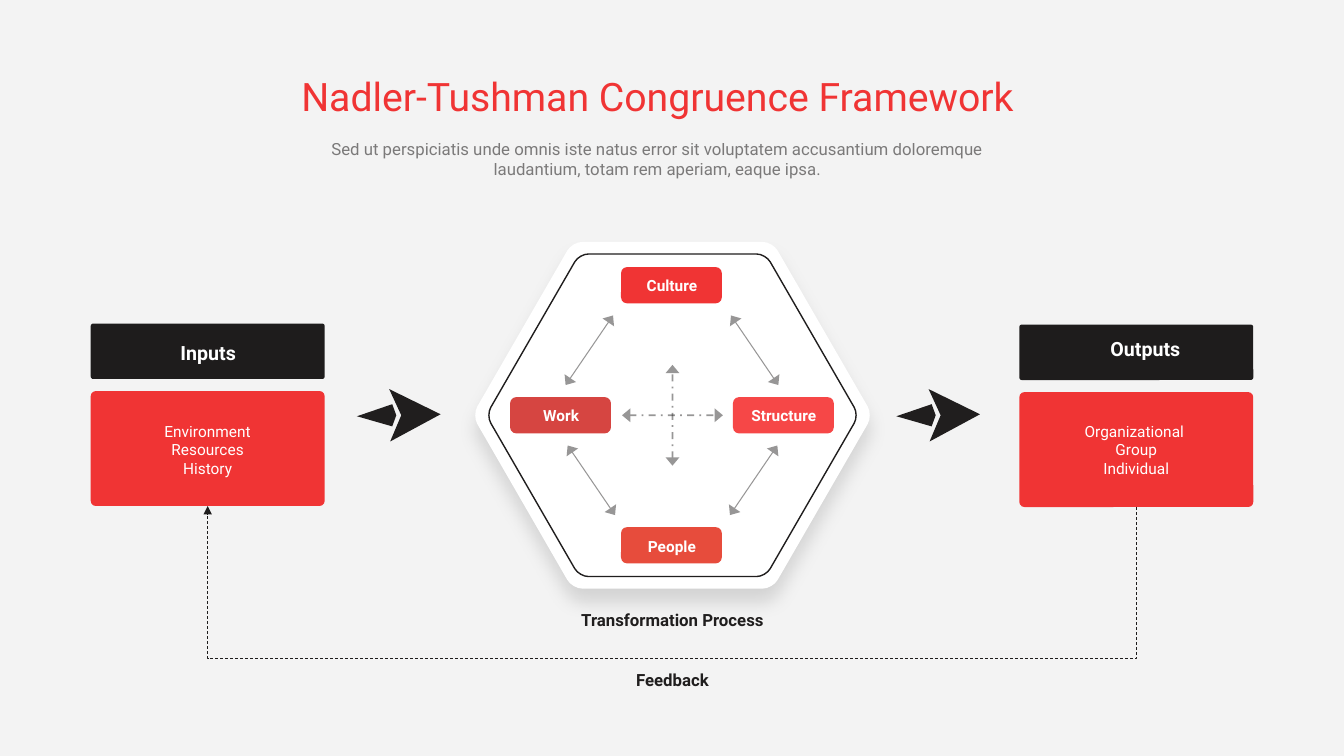
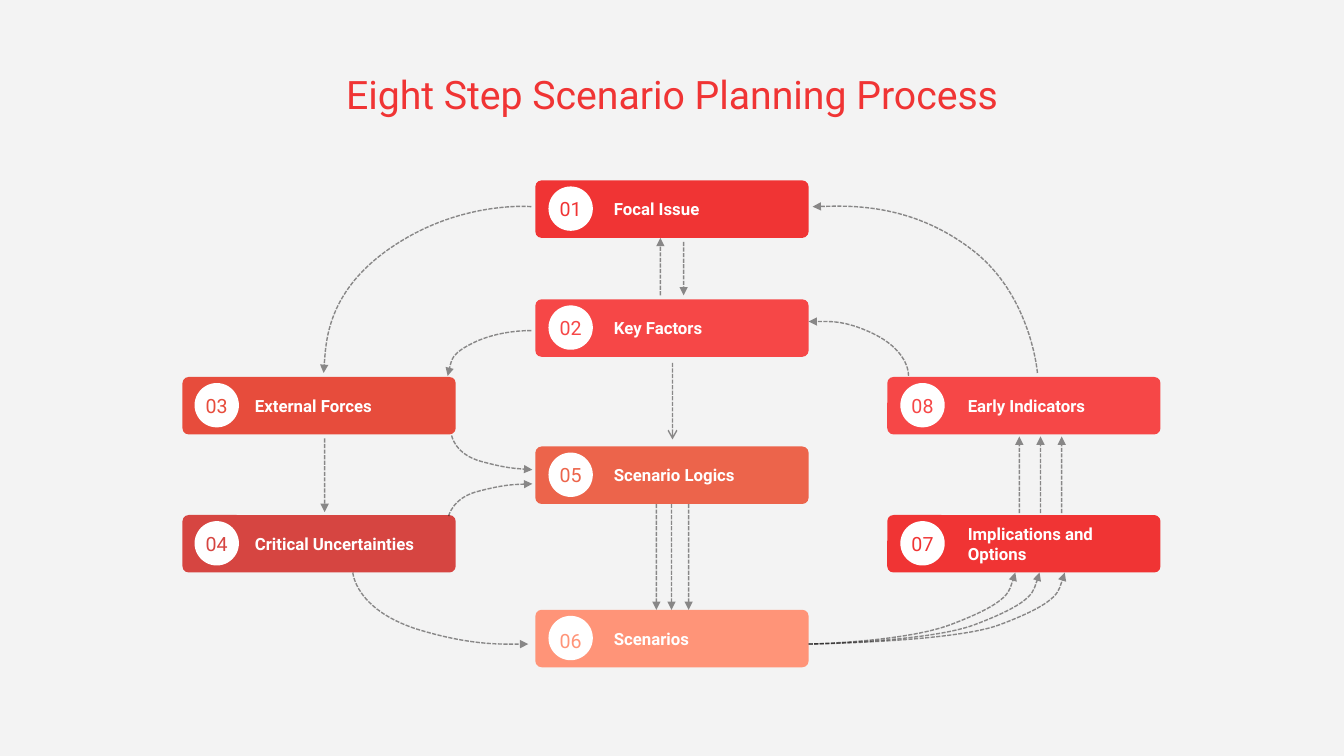
from dataclasses import dataclass
from math import cos, pi, sin

from lxml import etree
from pptx import Presentation
from pptx import util as u
from pptx.dml.color import RGBColor
from pptx.enum import dml, shapes, text
from pptx.oxml.ns import qn

FONT = "Roboto"
BACKDROP, WHITE = "F3F3F3", "FFFFFF"
INK, BLACK = "201E1E", "1E1C1C"
RED, CORAL, BRICK, CRIMSON = "F03434", "F64747", "E74C3C", "D64541"
ORANGE, PEACH = "EC644B", "FF9478"

Point = tuple[float, float]
Segment = tuple[Point, ...]  # one point for a line, three for a curve
Box = tuple[float, float, float, float]  # left, top, width, height
ROUNDED, OVAL = shapes.MSO_SHAPE.ROUNDED_RECTANGLE, shapes.MSO_SHAPE.OVAL
MIDDLE, TOP, BOTTOM = (text.MSO_ANCHOR.MIDDLE, text.MSO_ANCHOR.TOP,
                       text.MSO_ANCHOR.BOTTOM)
CENTER, LEFT = text.PP_ALIGN.CENTER, text.PP_ALIGN.LEFT


@dataclass(frozen=True)
class Stroke:
    color: str
    width: float
    dash: dml.MSO_LINE | None = None
    opacity: int = 100
    head: str = ""
    tail: str = ""
    arrow_width: str = "med"


@dataclass(frozen=True)
class Panel:
    heading: str
    lines: tuple[str, ...]
    left: float
    top: float
    heading_box: Box


@dataclass(frozen=True)
class Column:
    left: float
    circle_offset: float
    label_offset: float


@dataclass(frozen=True)
class Step:
    label: str
    column: Column
    top: float
    color: str
    label_width: float
    label_height: float = 0.3
    number_drop: float = 0.11


FLOW = Stroke(BLACK, 1, dml.MSO_LINE.SQUARE_DOT, 50, tail="triangle")
OPEN_FLOW = Stroke(BLACK, 1, dml.MSO_LINE.SQUARE_DOT, 50, tail="arrow")
LINK = Stroke(BLACK, 0.75, None, 45, "triangle", "triangle", "lg")
CROSS = Stroke(BLACK, 1.25, dml.MSO_LINE.DASH_DOT, 45, "triangle", "triangle", "lg")
FEEDBACK = Stroke(BLACK, 0.5, dml.MSO_LINE.DASH, tail="triangle")


# Shared drawing helpers

def inches(values) -> list[int]:
    return [u.Inches(value) for value in values]


def paint(fill, color: str) -> None:
    fill.solid()
    fill.fore_color.rgb = RGBColor.from_string(color)


def fade(element, opacity: int) -> None:
    for color in element.iter(qn("a:srgbClr")):
        etree.SubElement(color, qn("a:alpha"), val=str(opacity * 1000))


def apply_stroke(shape, stroke: Stroke) -> None:
    paint(shape.line.fill, stroke.color)
    shape.line.width = u.Pt(stroke.width)
    if stroke.dash:
        shape.line.dash_style = stroke.dash
    outline = shape.element.spPr.find(qn("a:ln"))
    if stroke.opacity < 100:
        fade(outline, stroke.opacity)
    for tag, kind in (("a:headEnd", stroke.head), ("a:tailEnd", stroke.tail)):
        if kind:
            etree.SubElement(outline, qn(tag), type=kind, w=stroke.arrow_width, len="med")


def add_line(page, start: Point, end: Point, stroke: Stroke,
             kind=shapes.MSO_CONNECTOR.STRAIGHT):
    line = page.shapes.add_connector(kind, *inches(start + end))
    apply_stroke(line, stroke)
    etree.SubElement(line.element.spPr, qn("a:effectLst"))
    return line


def bend(shape, segments: list[Segment]) -> None:
    """Turn the straight pieces that carry control points into curves."""
    pieces = list(shape.element.iter(qn("a:lnTo")))
    for piece, segment in zip(pieces, segments):
        if len(segment) == 3:
            curve = etree.Element(qn("a:cubicBezTo"))
            for x, y in segment:
                etree.SubElement(curve, qn("a:pt"), x=str(u.Inches(x) - shape.left),
                                 y=str(u.Inches(y) - shape.top))
            piece.getparent().replace(piece, curve)


def add_outline(page, start: Point, segments: list[Segment], color: str = "",
                stroke: Stroke | None = None, closed: bool = True):
    builder = page.shapes.build_freeform(*inches(start))
    builder.add_line_segments([inches(segment[-1]) for segment in segments], close=closed)
    shape = builder.convert_to_shape()
    bend(shape, segments)
    shape.shadow.inherit = False
    if color:
        paint(shape.fill, color)
    else:
        shape.fill.background()
    if stroke:
        apply_stroke(shape, stroke)
    else:
        shape.line.fill.background()
    return shape


def add_block(page, kind, area: Box, color: str, corner: float | None = None) -> None:
    shape = page.shapes.add_shape(kind, *inches(area))
    if corner is not None:
        shape.adjustments[0] = corner
    shape.shadow.inherit = False
    paint(shape.fill, color)
    shape.line.fill.background()


def add_text(page, area: Box, lines: tuple[str, ...], size: float, color: str,
             bold: bool = False, anchor=MIDDLE, align=CENTER, opacity: int = 100) -> None:
    box = page.shapes.add_textbox(*inches(area))
    frame = box.text_frame
    frame.word_wrap = True
    frame.auto_size = text.MSO_AUTO_SIZE.SHAPE_TO_FIT_TEXT
    frame.vertical_anchor = anchor
    frame.text = "\n".join(lines)
    for para in frame.paragraphs:
        para.alignment = align
        para.font.name = FONT
        para.font.size = u.Pt(size)
        para.font.bold = bold
        paint(para.font.fill, color)
    if opacity < 100:
        fade(box.element, opacity)


def new_page(deck, title: str, area: Box):
    page = deck.slides.add_slide(deck.slide_layouts[6])
    paint(page.background.fill, BACKDROP)
    add_text(page, area, (title,), 28, RED, anchor=BOTTOM)
    return page


# Congruence framework

def add_hexagon(page, center: Point, half_height: float, cut: float, color: str = "",
                stroke: Stroke | None = None):
    radius = half_height / sin(pi / 3)
    corners = [(center[0] + radius * cos(k * pi / 3),
                center[1] + radius * sin(k * pi / 3)) for k in range(6)]

    def toward(corner: Point, other: Point, distance: float) -> Point:
        share = distance / radius
        return (corner[0] + (other[0] - corner[0]) * share,
                corner[1] + (other[1] - corner[1]) * share)

    segments: list[Segment] = []
    for k in range(1, 7):
        before, corner, after = corners[k - 1], corners[k % 6], corners[(k + 1) % 6]
        segments.append((toward(corner, before, cut),))
        segments.append((toward(corner, before, cut * 0.45),
                         toward(corner, after, cut * 0.45), toward(corner, after, cut)))
    return add_outline(page, segments[-1][-1], segments, color, stroke)


def add_soft_shadow(shape) -> None:
    effects = shape.element.spPr.find(qn("a:effectLst"))
    shadow = etree.SubElement(effects, qn("a:outerShdw"), blurRad=str(u.Pt(13)),
                              dist=str(u.Pt(10)), dir="5400000", algn="t", rotWithShape="0")
    color = etree.SubElement(shadow, qn("a:srgbClr"), val="000000")
    etree.SubElement(color, qn("a:alpha"), val="13000")


def add_panel(page, panel: Panel) -> None:
    add_block(page, ROUNDED, (panel.left, panel.top + 0.67, 2.32, 1.14), RED, 0.044)
    add_block(page, ROUNDED, (panel.left, panel.top, 2.32, 0.55), BLACK, 0.044)
    add_text(page, (panel.left + 0.18, 4.13, 1.96, 0.66), panel.lines, 11, WHITE)
    add_text(page, panel.heading_box, (panel.heading,), 14, WHITE, True, TOP)


def add_dart(page, left: float) -> None:
    tip = [(0.32, 3.86), (0.44, 4.12), (0.33, 4.38), (0.83, 4.11)]
    tail = [(0.39, 4.12), (0.35, 4.01), (0, 4.13), (0.35, 4.23)]
    for part in (tip, tail):
        start, *others = [(left + x, y) for x, y in part]
        add_outline(page, start, [(point,) for point in others], INK)


def add_feedback_route(page) -> None:
    route = add_line(page, (6.67, 0.42), (6.66, 9.63), FEEDBACK,
                     shapes.MSO_CONNECTOR.ELBOW)
    properties = route.element.spPr
    properties.find(qn("a:xfrm")).set("rot", "5400000")
    adjustments = properties.find(qn("a:prstGeom")).find(qn("a:avLst"))
    etree.SubElement(adjustments, qn("a:gd"), name="adj1", fmla="val -15300000")


def build_framework(deck) -> None:
    page = new_page(deck, "Nadler-Tushman Congruence Framework", (2.75, 0.66, 7.54, 0.57))
    add_text(page, (2.75, 1.33, 7.54, 0.5),
             ("Sed ut perspiciatis unde omnis iste natus error sit voluptatem accusantium "
              "doloremque laudantium, totam rem aperiam, eaque ipsa.",),
             12, INK, anchor=TOP, opacity=56)

    # Hexagon with its four components
    center = (6.67, 4.12)
    add_soft_shadow(add_hexagon(page, center, 1.72, 0.1, WHITE))
    add_hexagon(page, center, 1.6, 0.09, stroke=Stroke(INK, 1))
    for name, left, top, color in (("Culture", 6.16, 2.65, RED), ("People", 6.16, 5.23, BRICK),
                                   ("Structure", 7.27, 3.94, CORAL),
                                   ("Work", 5.06, 3.94, CRIMSON)):
        add_block(page, ROUNDED, (left, top, 1, 0.36), color, 0.167)
        add_text(page, (left + 0.04, top + 0.04, 0.93, 0.29), (name,), 11, WHITE, True)
    add_line(page, (6.17, 4.12), (7.17, 4.12), CROSS)
    add_line(page, (6.67, 4.62), (6.67, 3.62), CROSS)
    for start, end in (((7.24, 5.11), (7.71, 4.42)), ((6.1, 5.11), (5.63, 4.42)),
                       ((5.61, 3.82), (6.08, 3.13)), ((7.72, 3.82), (7.25, 3.13))):
        add_line(page, start, end, LINK)

    # Inputs, outputs and the flow between them
    for panel in (Panel("Outputs", ("Organizational ", "Group", "Individual"),
                        10.11, 3.22, (10.29, 3.29, 2.14, 0.34)),
                  Panel("Inputs", ("Environment", "Resources", "History"),
                        0.9, 3.21, (1.08, 3.33, 1.97, 0.34))):
        add_panel(page, panel)
    for left in (8.89, 3.54):
        add_dart(page, left)
    add_feedback_route(page)
    for caption, top in (("Transformation Process", 6), ("Feedback", 6.6)):
        add_text(page, (5.26, top, 2.82, 0.3), (caption,), 12, INK, True, TOP)


# Scenario planning

def add_step(page, number: int, step: Step) -> None:
    left, top = step.column.left, step.top
    circle_left = left + step.column.circle_offset
    label_top = top + (0.57 - step.label_height) / 2
    add_block(page, ROUNDED, (left, top, 2.71, 0.57), step.color, 0.109)
    add_text(page, (left + step.column.label_offset, label_top, step.label_width,
                    step.label_height), (step.label,), 12, WHITE, True, align=LEFT)
    add_block(page, OVAL, (circle_left, top + 0.06, 0.44, 0.44), WHITE)
    add_text(page, (circle_left, top + step.number_drop, 0.44, 0.34), (f"{number:02}",),
             14, step.color)


def add_curve(page, start: Point, pull_in: Point, middle: Point, pull_out: Point,
              end: Point) -> None:
    add_outline(page, start, [(start, pull_in, middle), (pull_out, end, end)],
                stroke=FLOW, closed=False)


def build_scenarios(deck) -> None:
    page = new_page(deck, "Eight Step Scenario Planning Process", (3.08, 0.64, 7.17, 0.57))
    west, middle, east = Column(1.81, 0.12, 0.62), Column(5.31, 0.13, 0.68), Column(8.8, 0.13, 0.7)
    steps = (Step("Focal Issue", middle, 1.79, RED, 1.13),
             Step("Key Factors", middle, 2.97, CORAL, 1.12),
             Step("External Forces", west, 3.74, BRICK, 1.42),
             Step("Critical Uncertainties", west, 5.11, CRIMSON, 1.8),
             Step("Scenario Logics", middle, 4.43, ORANGE, 1.47),
             Step("Scenarios", middle, 6.05, PEACH, 0.96, number_drop=0.14),
             Step("Implications and Options", east, 5.11, RED, 1.48, 0.5),
             Step("Early Indicators", east, 3.74, CORAL, 1.42))
    for number, step in enumerate(steps, 1):
        add_step(page, number, step)

    # Vertical arrows: x, start, end
    add_line(page, (6.67, 3.6), (6.67, 4.36), OPEN_FLOW)
    for x, start, end in ((6.55, 2.93, 2.36), (6.78, 2.4, 2.93), (3.22, 4.35, 5.08),
                          *((x, 5, 6.05) for x in (6.51, 6.66, 6.83)),
                          *((x, 5.09, 4.33) for x in (10.11, 10.32, 10.53))):
        add_line(page, (x, start), (x, end), FLOW)

    # Curved arrows: start, pull, middle, pull, end
    for curve in (((5.27, 2.05), (4.61, 1.99), (3.95, 2.41), (3.22, 2.87), (3.21, 3.7)),
                  ((3.5, 5.68), (3.52, 6.04), (4.13, 6.24), (4.68, 6.41), (5.24, 6.39)),
                  ((5.27, 3.28), (5, 3.27), (4.74, 3.38), (4.45, 3.51), (4.44, 3.73)),
                  ((9.01, 3.73), (9.03, 3.49), (8.66, 3.31), (8.37, 3.17), (8.02, 3.19)),
                  ((10.29, 3.7), (10.23, 2.95), (9.67, 2.5), (9.03, 1.99), (8.06, 2.05)),
                  ((4.48, 4.32), (4.51, 4.51), (4.78, 4.58), (5.04, 4.65), (5.28, 4.66)),
                  ((4.45, 5.12), (4.49, 4.93), (4.76, 4.87), (5.03, 4.8), (5.28, 4.8))):
        add_curve(page, *curve)
    for shift in (0, 0.24, 0.49):
        add_curve(page, (8.02, 6.39), (8.96 + shift, 6.37), (9.42 + shift, 6.2),
                  (10.06 + shift, 5.96), (10.07 + shift, 5.68))


def main() -> None:
    deck = Presentation()
    deck.slide_width, deck.slide_height = u.Inches(13.33), u.Inches(7.5)
    build_framework(deck)
    build_scenarios(deck)
    deck.save("out.pptx")


if __name__ == "__main__":
    main()
